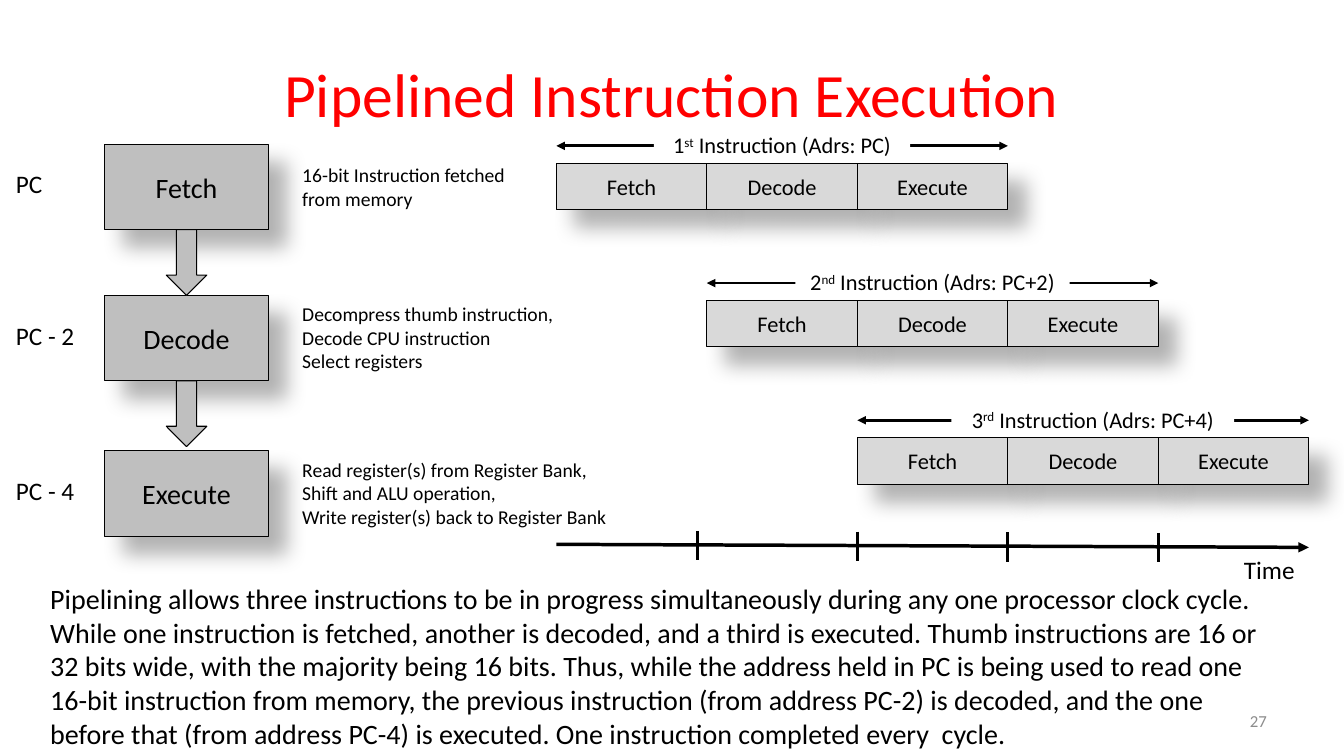
from lxml import etree
from pptx import Presentation
from pptx.dml.color import RGBColor
from pptx.enum.shapes import MSO_CONNECTOR, MSO_SHAPE
from pptx.enum.text import MSO_ANCHOR, PP_ALIGN
from pptx.oxml.ns import qn
from pptx.util import Pt

COLORS = {
    "text": "000000",
    "title": "FF0000",
    "number": "8C8C8C",
    "stage": "BFBFBF",
    "cell": "D9D9D9",
    "paper": "FFFFFF",
    "line": "000000",
}
FONT = "Calibri"
STAGES = ["Fetch", "Decode", "Execute"]
STAGE_TOPS = [0, 108, 219]
ADDRESSES = ["PC", "PC - 2", "PC - 4"]
NOTES = [
    ["16-bit Instruction fetched", "from memory"],
    ["Decompress thumb instruction,", "Decode CPU instruction", "Select registers"],
    ["Read register(s) from Register Bank,", "Shift and ALU operation,",
     "Write register(s) back to Register Bank"],
]
# ordinal, suffix, rest of the label, label width, label shift from the row's middle
INSTRUCTIONS = [
    ("1", "st", " Instruction (Adrs: PC)", 183, 0),
    ("2", "nd", " Instruction (Adrs: PC+2)", 196, 0),
    ("3", "rd", " Instruction (Adrs: PC+4)", 202, 7),
]
EXPLANATION = (
    "Pipelining allows three instructions to be in progress simultaneously during any one "
    "processor clock cycle. While one instruction is fetched, another is decoded, and a third "
    "is executed. Thumb instructions are 16 or 32 bits wide, with the majority being 16 bits. "
    "Thus, while the address held in PC is being used to read one 16-bit instruction from "
    "memory, the previous instruction (from address PC-2) is decoded, and the one before that "
    "(from address PC-4) is executed. One instruction completed every  cycle."
)


def rgb(name):
    return RGBColor.from_string(COLORS[name])


def write(shape, lines, size, color="text", align=PP_ALIGN.LEFT, anchor=MSO_ANCHOR.TOP):
    """Fill a shape with paragraphs; each line is a list of (text, baseline) runs."""
    frame = shape.text_frame
    frame.word_wrap = True
    frame.vertical_anchor = anchor
    for index, line in enumerate(lines):
        para = frame.paragraphs[0] if index == 0 else frame.add_paragraph()
        para.alignment = align
        for text, baseline in line:
            span = para.add_run()
            span.text = text
            span.font.name = FONT
            span.font.size = Pt(size)
            span.font.color.rgb = rgb(color)
            if baseline:
                span.font._element.set("baseline", str(baseline))


def add_text(page, box, lines, size, **style):
    shape = page.shapes.add_textbox(*map(Pt, box))
    write(shape, [[(line, 0)] for line in lines], size, **style)


def add_block(page, kind, box, fill, outlined=True):
    block = page.shapes.add_shape(kind, *map(Pt, box))
    block.shadow.inherit = False
    block.fill.solid()
    block.fill.fore_color.rgb = rgb(fill)
    if outlined:
        block.line.color.rgb = rgb("line")
        block.line.width = Pt(0.75)
    else:
        block.line.fill.background()
    return block


def add_shadowed_box(page, box, fill, text, size):
    block = add_block(page, MSO_SHAPE.RECTANGLE, box, fill)
    effects = block._element.spPr.find(qn("a:effectLst"))
    shadow = etree.SubElement(effects, qn("a:outerShdw"), blurRad=str(Pt(15)),
                              dist=str(Pt(18)), dir="2700000", algn="tl", rotWithShape="0")
    color = etree.SubElement(shadow, qn("a:srgbClr"), val=COLORS["line"])
    etree.SubElement(color, qn("a:alpha"), val="30000")
    write(block, [[(text, 0)]], size, align=PP_ALIGN.CENTER, anchor=MSO_ANCHOR.MIDDLE)


def add_line(page, start, end, width, arrows=()):
    """Draw a line; arrows may name headEnd (at start) and tailEnd (at end), in that order."""
    line = page.shapes.add_connector(MSO_CONNECTOR.STRAIGHT, *map(Pt, start + end))
    line.line.color.rgb = rgb("line")
    line.line.width = Pt(width)
    for arrow in arrows:
        etree.SubElement(line.line._get_or_add_ln(), qn("a:" + arrow), type="triangle")
    etree.SubElement(line._element.spPr, qn("a:effectLst"))


def add_stage_flow(page, left, top):
    """Stages joined by arrows, with addresses on the left and notes on the right."""
    width, height = 116.5, 61
    box_left = left + 70.7
    for index, stage in enumerate(STAGES):
        stage_top = top + STAGE_TOPS[index]
        middle = stage_top + height / 2
        add_shadowed_box(page, (box_left, stage_top, width, height), "stage", stage, 20)
        add_text(page, (left, middle - 16.5, 64, 29), [ADDRESSES[index]], 18)
        note_height = 7.2 + 17 * len(NOTES[index])
        add_text(page, (left + 204.5, middle - note_height / 2, 233, note_height),
                 NOTES[index], 14)
    for stage_top in STAGE_TOPS[:-1]:
        add_block(page, MSO_SHAPE.DOWN_ARROW,
                  (box_left + width / 2 - 14.5, top + stage_top + height, 29, 47), "stage")


def add_instruction(page, box, instruction):
    left, top, width, height = box
    ordinal, suffix, rest, label_width, shift = instruction
    arrow_y = top - 12.6
    add_line(page, (left, arrow_y), (left + width, arrow_y), 2, ("headEnd", "tailEnd"))
    label_left = left + (width - label_width) / 2 + shift
    label = add_block(page, MSO_SHAPE.RECTANGLE, (label_left, top - 26.5, label_width, 26.5),
                      "paper", outlined=False)
    write(label, [[(ordinal, 0), (suffix, 30000), (rest, 0)]], 16, align=PP_ALIGN.CENTER)
    cell = width / len(STAGES)
    for index, stage in enumerate(STAGES):
        add_shadowed_box(page, (left + index * cell, top, cell, height), "cell", stage, 16)


def add_timing(page, left, top):
    """Staggered instruction rows above a time axis."""
    cell, row_step = 107.5, 98
    for index, instruction in enumerate(INSTRUCTIONS):
        box = (left + index * cell, top + index * row_step, 3 * cell, 33)
        add_instruction(page, box, instruction)
    axis_top, axis_length, drop = top + 272, 5 * cell, 2.2
    add_line(page, (left, axis_top), (left + axis_length, axis_top + drop), 2.5, ("tailEnd",))
    for offset in (100.8, 2 * cell, 3 * cell, 4 * cell):
        tick_y = axis_top + drop * offset / axis_length
        add_line(page, (left + offset, tick_y - 10), (left + offset, tick_y + 11), 2)
    add_text(page, (left + 484, axis_top + 3.6, 70, 29), ["Time"], 18)


def main():
    deck = Presentation()
    deck.slide_width, deck.slide_height = Pt(960), Pt(540)
    page = deck.slides.add_slide(deck.slide_layouts[6])
    add_stage_flow(page, 4.3, 103)
    add_text(page, (48, 21.6, 864, 90), ["Pipelined Instruction Execution"], 44,
             color="title", align=PP_ALIGN.CENTER, anchor=MSO_ANCHOR.MIDDLE)
    add_text(page, (688, 500.5, 224, 29), ["27"], 12,
             color="number", align=PP_ALIGN.RIGHT, anchor=MSO_ANCHOR.MIDDLE)
    add_timing(page, 397.4, 116.8)
    add_text(page, (28.8, 412, 896, 123), [EXPLANATION], 20)
    deck.save("out.pptx")


if __name__ == "__main__":
    main()
